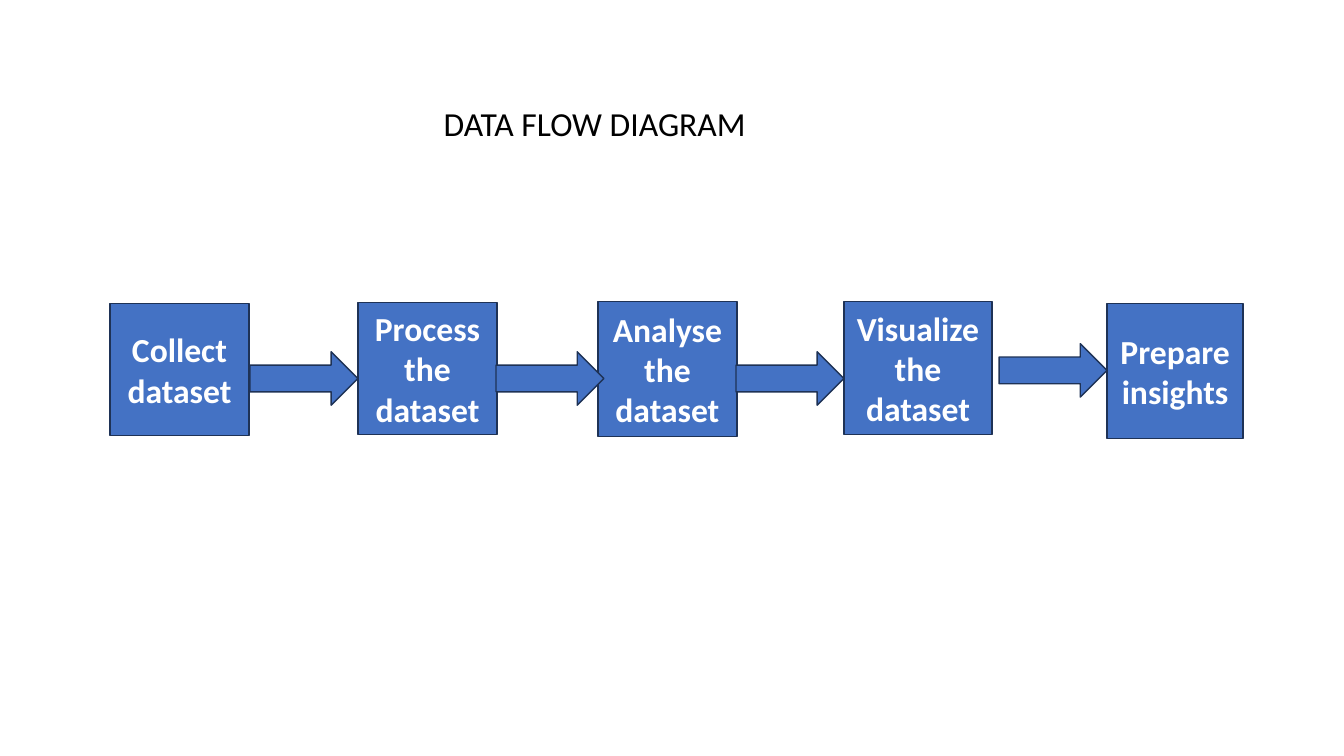
from pptx import Presentation
from pptx.dml.color import RGBColor
from pptx.enum.shapes import MSO_SHAPE
from pptx.enum.text import MSO_ANCHOR, MSO_AUTO_SIZE, PP_ALIGN
from pptx.util import Inches, Pt

BLUE = RGBColor(0x44, 0x72, 0xC4)
NAVY = RGBColor(0x1E, 0x32, 0x56)
WHITE = RGBColor(0xFF, 0xFF, 0xFF)
BLACK = RGBColor(0x00, 0x00, 0x00)

STEPS = [
    ("Collect dataset", 1.09, 3.01, 1.38, 1.31),
    ("Process the dataset", 3.55, 3.0, 1.38, 1.31),
    ("Analyse the dataset", 5.93, 2.99, 1.38, 1.34),
    ("Visualize the dataset", 8.37, 2.99, 1.47, 1.32),
    ("Prepare insights", 10.98, 3.01, 1.35, 1.34),
]
ARROWS = [(2.48, 3.49), (4.92, 3.49), (7.3, 3.49), (9.91, 3.41)]


def add_run(p, text, color, bold=False):
    r = p.add_run()
    r.text = text
    r.font.name = "Calibri"
    r.font.size = Pt(24)
    r.font.bold = bold
    r.font.color.rgb = color


def add_title(s, text):
    sp = s.shapes.title
    sp.left, sp.top = Inches(4.3), Inches(0.97)
    sp.width, sp.height = Inches(6.31), Inches(0.5)
    tf = sp.text_frame
    tf.word_wrap = True
    tf.auto_size = MSO_AUTO_SIZE.NONE
    tf.vertical_anchor = MSO_ANCHOR.TOP
    p = tf.paragraphs[0]
    p.alignment = PP_ALIGN.LEFT
    add_run(p, text, BLACK)


def add_block(s, kind, left, top, width, height):
    sp = s.shapes.add_shape(kind, Inches(left), Inches(top), Inches(width), Inches(height))
    sp.shadow.inherit = False
    sp.fill.solid()
    sp.fill.fore_color.rgb = BLUE
    sp.line.color.rgb = NAVY
    sp.line.width = Pt(1)
    return sp


def add_step(s, text, left, top, width, height):
    tf = add_block(s, MSO_SHAPE.RECTANGLE, left, top, width, height).text_frame
    tf.word_wrap = True
    tf.vertical_anchor = MSO_ANCHOR.MIDDLE
    p = tf.paragraphs[0]
    p.alignment = PP_ALIGN.CENTER
    add_run(p, text, WHITE, bold=True)


def main():
    prs = Presentation()
    prs.slide_width, prs.slide_height = Inches(13.33), Inches(7.5)
    s = prs.slides.add_slide(prs.slide_layouts[5])
    add_title(s, "DATA FLOW DIAGRAM")
    for step in STEPS:
        add_step(s, *step)
    for left, top in ARROWS:
        add_block(s, MSO_SHAPE.RIGHT_ARROW, left, top, 1.07, 0.53)
    prs.save("out.pptx")


if __name__ == "__main__":
    main()
